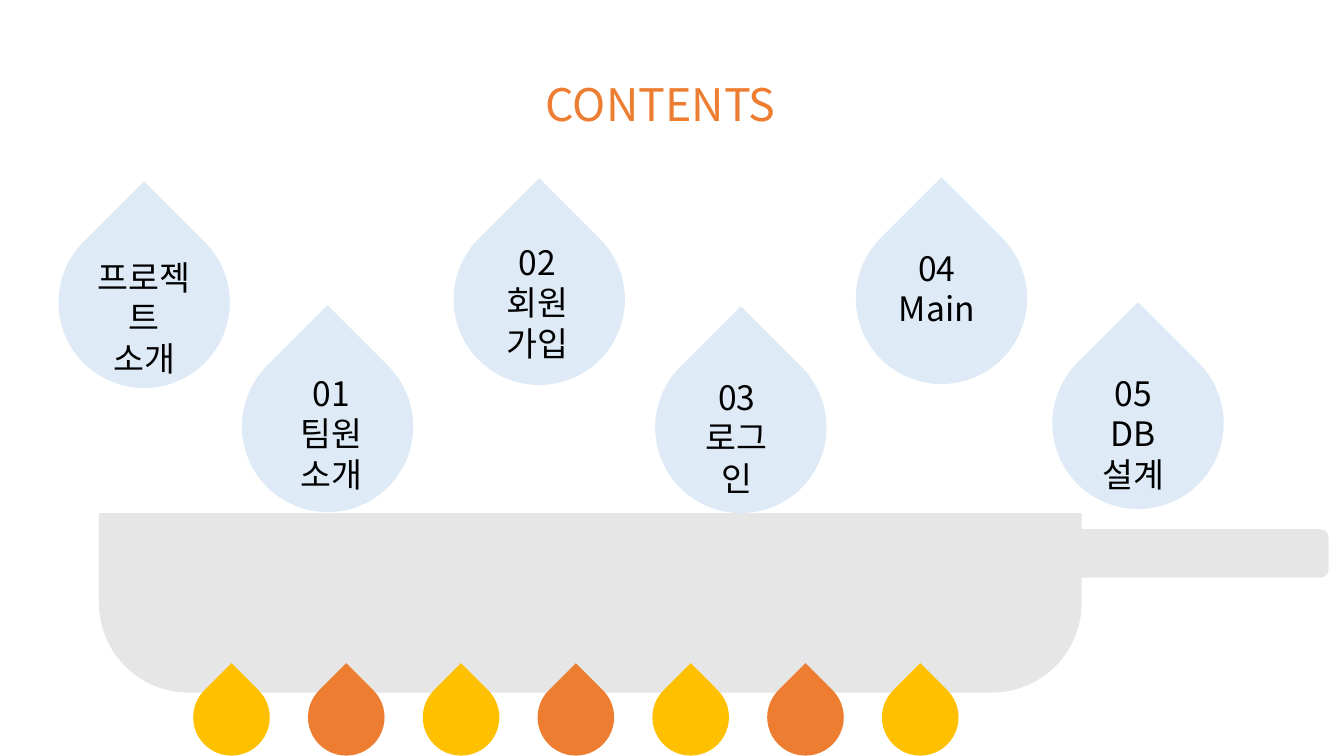
from dataclasses import dataclass
from pptx import Presentation
from pptx.dml.color import RGBColor
from pptx.enum.shapes import MSO_SHAPE as Shape
from pptx.enum.text import PP_ALIGN as Align
from pptx.util import Pt


@dataclass(frozen=True)
class Theme:
    font: str = "Noto Sans CJK KR"
    title_size: int = 32
    label_size: int = 24
    line_height: float = 1.2
    title: str = "ED7D31"
    label: str = "000000"
    drop: str = "DEEBF7"
    pan: str = "E7E6E6"
    flames: tuple = ("FFC000", "ED7D31")


THEME = Theme()
DROP_SIZE = 122.4
FLAME_SIZE = 54.7

DROPS = [
    (41.8, 154.8, ("프로젝트", "소개"), (12.2, 25.2, 98)),
    (172.8, 243.4, ("01", "팀원 소개"), (11.5, 19.4, 104.4)),
    (324, 152.6, ("02", "회원 가입"), (7.2, 16.6, 105.1)),
    (468, 244.1, ("03", "로그인"), (20.2, 21.6, 76.3)),
    (611.3, 151.9, ("04", "Main"), (21.6, 21.6, 72.7)),
    (751.7, 241.2, ("05", "DB설계"), (12.9, 21.6, 90)),
]


def add_shape(s, kind, x, y, w, h, color, rotation=0):
    sp = s.shapes.add_shape(kind, Pt(x), Pt(y), Pt(w), Pt(h))
    sp.shadow.inherit = False
    sp.fill.solid()
    sp.fill.fore_color.rgb = RGBColor.from_string(color)
    sp.line.fill.background()
    sp.rotation = rotation
    return sp


def add_text(s, lines, x, y, w, h, size, color):
    tf = s.shapes.add_textbox(Pt(x), Pt(y), Pt(w), Pt(h)).text_frame
    tf.word_wrap = True
    for i, line in enumerate(lines):
        p = tf.paragraphs[0] if i == 0 else tf.add_paragraph()
        p.alignment = Align.CENTER
        p.line_spacing = Pt(size * THEME.line_height)
        r = p.add_run()
        r.text = line
        r.font.name = THEME.font
        r.font.size = Pt(size)
        r.font.color.rgb = RGBColor.from_string(color)


def add_title(s, x, y, w, h):
    add_text(s, ["CONTENTS"], x, y, w, h, THEME.title_size, THEME.title)


def add_drop(s, x, y, lines, label):
    dx, dy, w = label
    add_shape(s, Shape.TEAR, x, y, DROP_SIZE, DROP_SIZE, THEME.drop, 315)
    add_text(s, lines, x + dx, y + dy, w, 65.5, THEME.label_size, THEME.label)


def add_pan(s, x, y, w, h):
    body = add_shape(s, Shape.ROUND_2_SAME_RECTANGLE, x, y, w, h, THEME.pan, 180)
    body.adjustments[0] = 0.5
    body.adjustments[1] = 0
    add_shape(s, Shape.ROUNDED_RECTANGLE, x + w - 81.4, y + 11.5, 257.8, 34.6, THEME.pan)


def add_flames(s, x, y, pitch, count):
    for i in range(count):
        color = THEME.flames[i % len(THEME.flames)]
        add_shape(s, Shape.TEAR, x + i * pitch, y, FLAME_SIZE, FLAME_SIZE, color, 315)


def main():
    prs = Presentation()
    prs.slide_width, prs.slide_height = Pt(960), Pt(540)
    s = prs.slides.add_slide(prs.slide_layouts[6])
    add_title(s, 378, 51.1, 187.9, 46.1)
    add_pan(s, 70.6, 366.5, 702, 128.2)
    add_flames(s, 138, 485, 82, 7)
    for drop in DROPS:
        add_drop(s, *drop)
    prs.save("out.pptx")


if __name__ == "__main__":
    main()
